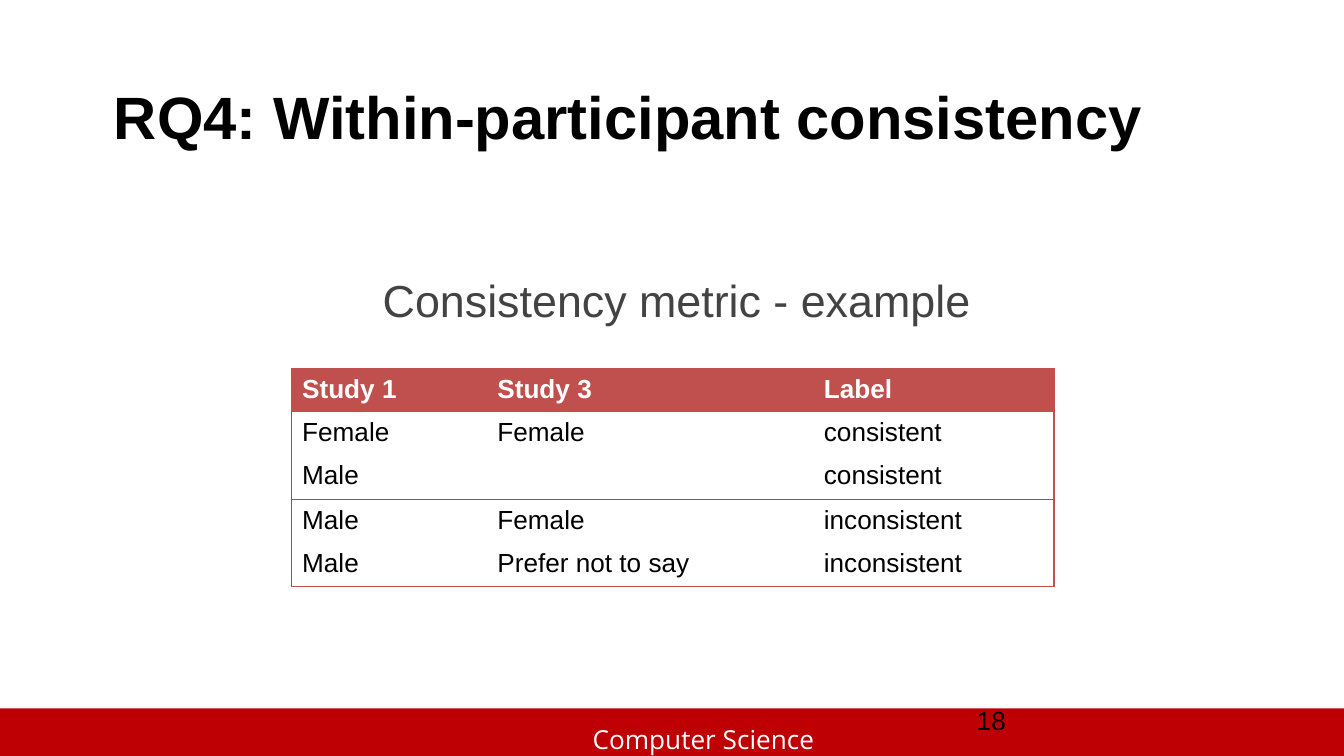
from lxml import etree
from pptx import Presentation
from pptx.dml.color import RGBColor
from pptx.enum.shapes import MSO_SHAPE
from pptx.enum.text import MSO_ANCHOR, PP_ALIGN
from pptx.oxml.ns import qn
from pptx.util import Cm, Pt

RECTANGLE = MSO_SHAPE.RECTANGLE
TOP, MIDDLE = MSO_ANCHOR.TOP, MSO_ANCHOR.MIDDLE
LEFT, CENTER = PP_ALIGN.LEFT, PP_ALIGN.CENTER
TITLE_ONLY = 5

COLORS = {
    "band": "BE0005",
    "accent": "C0504D",
    "rule": "666666",
    "subtitle": "434343",
    "black": "000000",
    "white": "FFFFFF",
}

ROWS = [
    ("Study 1", "Study 3", "Label"),
    ("Female", "Female", "consistent"),
    ("Male", "", "consistent"),
    ("Male", "Female", "inconsistent"),
    ("Male", "Prefer not to say", "inconsistent"),
]
COLUMN_WIDTHS = (3.69, 6.17, 4.55)
ROW_HEIGHT = 0.82
GROUP_END = 2  # last row of the consistent group


def rgb(name):
    return RGBColor.from_string(COLORS[name])


def set_border(cell, side, color):
    """Draw one cell edge ("L", "R", "T" or "B"), or hide it if color is None."""
    properties = cell._tc.get_or_add_tcPr()
    line = etree.SubElement(properties, qn(f"a:ln{side}"), w=str(Pt(0.75)))
    if color is None:
        etree.SubElement(line, qn("a:noFill"))
    else:
        fill = etree.SubElement(line, qn("a:solidFill"))
        etree.SubElement(fill, qn("a:srgbClr"), val=COLORS[color])


class SlideBuilder:
    def __init__(self, slide, font="Arial"):
        self.slide = slide
        self.font = font

    def add_span(self, frame, text, size, color, bold=False, align=LEFT, font=None):
        """Add a styled run to the first paragraph and return that paragraph."""
        para = frame.paragraphs[0]
        para.alignment = align
        span = para.add_run()
        span.text = text
        span.font.name = font or self.font
        span.font.size = Pt(size)
        span.font.bold = bold
        span.font.color.rgb = rgb(color)
        return para

    def title(self, text, place):
        box = self.slide.shapes.title
        box.left, box.top, box.width, box.height = map(Cm, place)
        box.text_frame.vertical_anchor = MIDDLE
        self.add_span(box.text_frame, text, 32, "black", bold=True)

    def text(self, text, place, size, color, anchor=TOP, inset=0.13, **style):
        box = self.slide.shapes.add_textbox(*map(Cm, place))
        frame = box.text_frame
        frame.word_wrap = True
        frame.vertical_anchor = anchor
        frame.margin_top = Cm(inset)
        self.add_span(frame, text, size, color, **style)

    def band(self, place, color):
        shape = self.slide.shapes.add_shape(RECTANGLE, *map(Cm, place))
        shape.shadow.inherit = False
        shape.fill.solid()
        shape.fill.fore_color.rgb = rgb(color)
        shape.line.fill.background()

    def table(self, rows, left, top):
        size = Cm(sum(COLUMN_WIDTHS)), Cm(ROW_HEIGHT * len(rows))
        table = self.slide.shapes.add_table(
            len(rows), len(COLUMN_WIDTHS), Cm(left), Cm(top), *size).table
        for column, width in zip(table.columns, COLUMN_WIDTHS):
            column.width = Cm(width)
        for r, values in enumerate(rows):
            table.rows[r].height = Cm(ROW_HEIGHT)
            for c, value in enumerate(values):
                self.cell(table.cell(r, c), value, r, c)

    def cell(self, cell, value, r, c):
        header = r == 0
        last_row, last_column = len(ROWS) - 1, len(COLUMN_WIDTHS) - 1
        edges = {
            "L": ("accent" if header else "rule") if c == 0 else None,
            "R": "accent" if c == last_column else None,
            "T": "accent" if r <= 1 else "rule" if r == GROUP_END + 1 else None,
            "B": "accent" if r in (0, last_row) else "rule" if r == GROUP_END else None,
        }
        for side, color in edges.items():
            set_border(cell, side, color)
        if header:
            cell.fill.solid()
            cell.fill.fore_color.rgb = rgb("accent")
        else:
            cell.fill.background()
        cell.margin_left = cell.margin_right = Cm(0.2)
        cell.margin_top, cell.margin_bottom = Cm(0.08), 0
        para = self.add_span(cell.text_frame, value, 14,
                             "white" if header else "black", bold=header)
        para.line_spacing = 1.07


def main():
    deck = Presentation()
    deck.slide_width, deck.slide_height = Cm(25.4), Cm(14.29)
    page = SlideBuilder(deck.slides.add_slide(deck.slide_layouts[TITLE_ONLY]))
    page.band((0, 13.39, 25.4, 0.97), "band")
    page.text("Computer Science", (10.95, 13.54, 4.9, 0.64), 14, "white",
              font="Open Sans")
    page.title("RQ4: Within-participant consistency", (1.9, 1.07, 21.6, 2.24))
    page.text("Consistency metric - example", (1.9, 3.89, 21.77, 9.04), 24,
              "subtitle", inset=1.27, align=CENTER)
    page.table(ROWS, 5.51, 6.96)
    page.text("18", (18.21, 13.23, 5.92, 0.76), 14, "black", anchor=MIDDLE)
    deck.save("out.pptx")


if __name__ == "__main__":
    main()
